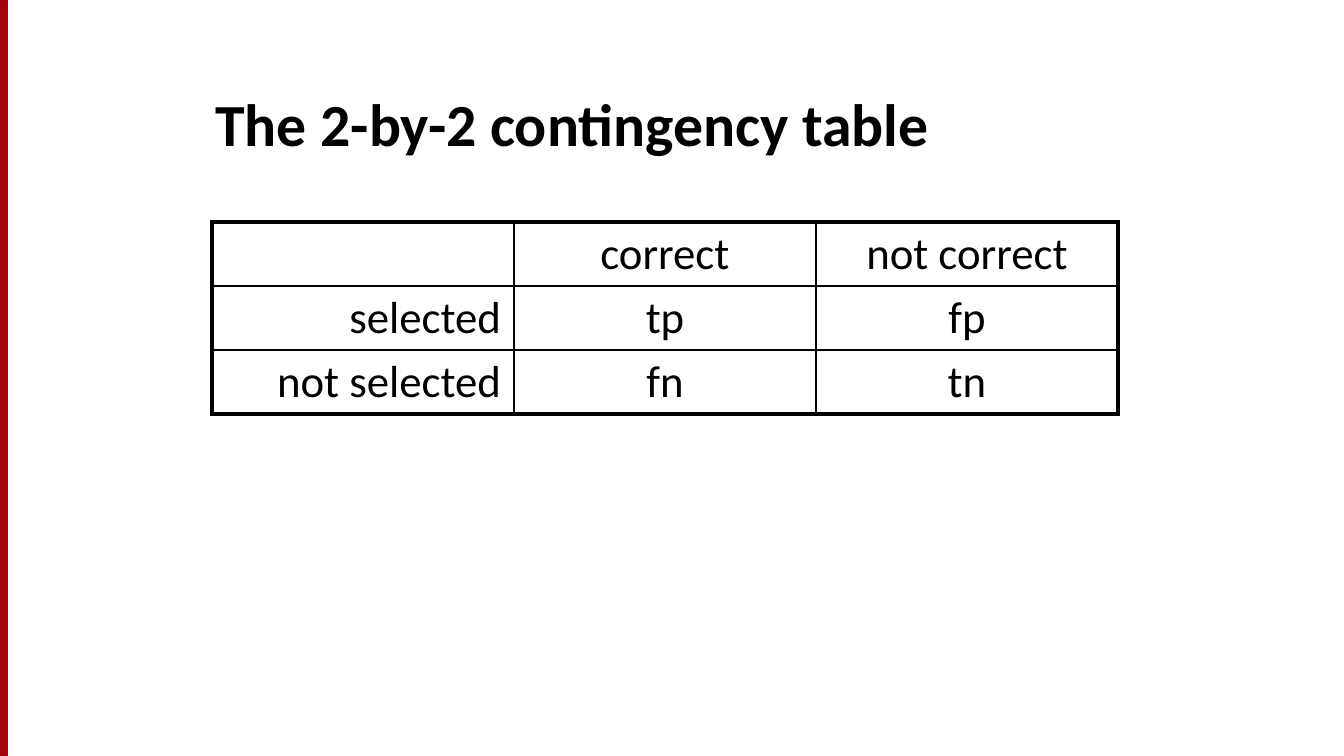
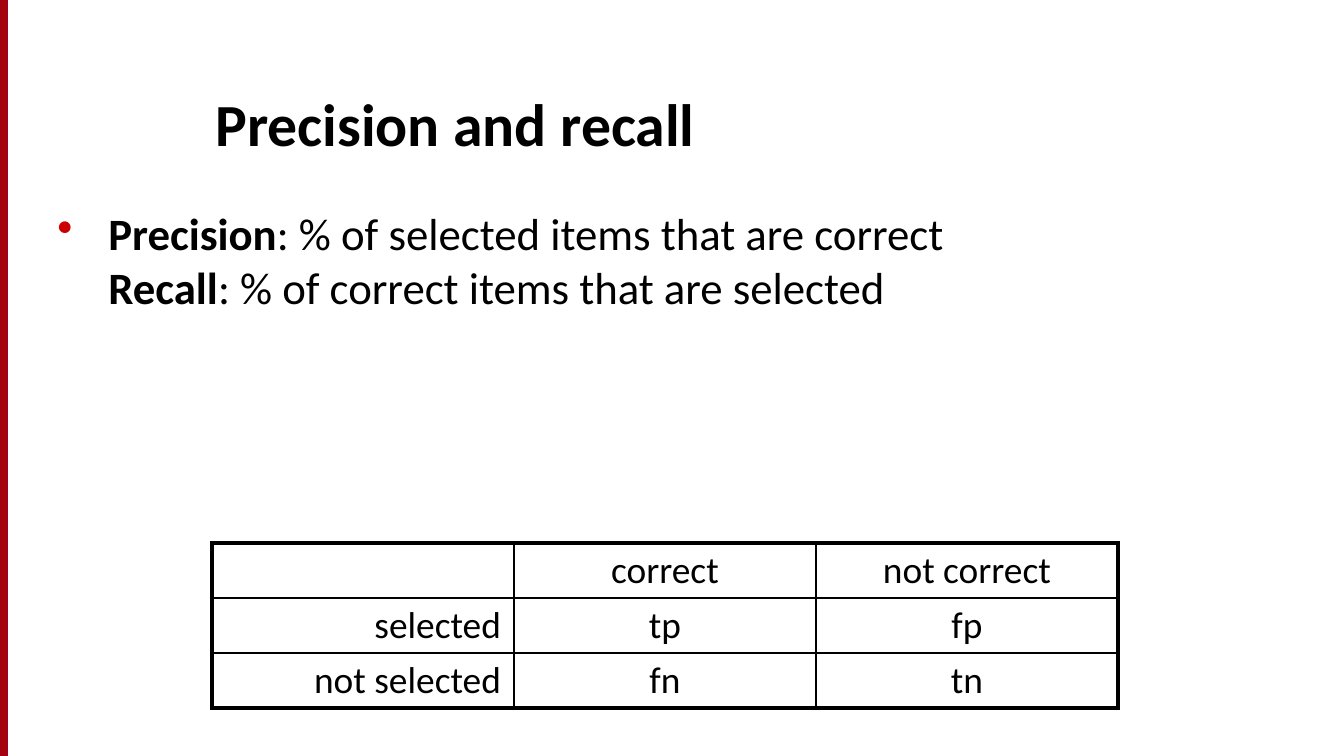
from pptx import Presentation
from pptx import util as u
from pptx.dml.color import RGBColor
from pptx.enum import shapes, text
from pptx.oxml.ns import qn
from lxml import etree

BLACK = RGBColor(0x00, 0x00, 0x00)
WHITE = RGBColor(0xFF, 0xFF, 0xFF)
BAR_RED = RGBColor(0xA4, 0x05, 0x08)
BAR_EDGE = RGBColor(0xA4, 0x00, 0x1D)
BULLET_RED = RGBColor(0xCC, 0x00, 0x00)
FONT = "Calibri"

WIDTH, HEIGHT = 1344, 756
PX = u.Inches(10) / WIDTH

CONTINGENCY = [
    ["", "correct", "not correct"],
    ["selected", "tp", "fp"],
    ["not selected", "fn", "tn"],
]
# Lines of one bullet: (term, definition)
DEFINITIONS = [
    ("Precision", ": % of selected items that are correct"),
    ("Recall", ": % of correct items that are selected"),
]
SLIDES = [
    {"title": "The 2-by-2 contingency table", "definitions": [],
     "table_top": 222, "row_height": 64, "table_size": 24},
    {"title": "Precision and recall", "definitions": DEFINITIONS,
     "table_top": 543, "row_height": 55, "table_size": 20},
]

TITLE_BOX = (202, 56, 1098, 109)
BODY_BOX = (44, 199, 1254, 491)
BULLET_INDENT = 51
TABLE_LEFT, COLUMN_WIDTH = 212, 302
CELL_MARGIN_X, CELL_MARGIN_Y = 13, 5
OUTER_LINE, INNER_LINE = 2.25, 1


def emu(*lengths):
    return [u.Emu(round(length * PX)) for length in lengths]


def add_run(paragraph, content, size, bold=False):
    run = paragraph.add_run()
    run.text = content
    run.font.name = FONT
    run.font.size = u.Pt(size)
    run.font.bold = bold
    run.font.color.rgb = BLACK


def add_text_frame(slide, box):
    frame = slide.shapes.add_textbox(*emu(*box)).text_frame
    frame.word_wrap = True
    return frame


def add_side_bar(slide):
    bar = slide.shapes.add_shape(shapes.MSO_SHAPE.RECTANGLE, *emu(0, 0, 7, HEIGHT))
    bar.shadow.inherit = False
    bar.fill.solid()
    bar.fill.fore_color.rgb = BAR_RED
    bar.line.color.rgb = BAR_EDGE
    bar.line.width = u.Pt(0.75)


def add_title(slide, title):
    frame = add_text_frame(slide, TITLE_BOX)
    frame.vertical_anchor = text.MSO_ANCHOR.BOTTOM
    add_run(frame.paragraphs[0], title, 32, bold=True)


def add_definitions(slide, definitions):
    paragraph = add_text_frame(slide, BODY_BOX).paragraphs[0]
    paragraph.space_before = u.Pt(5)
    properties = paragraph._p.get_or_add_pPr()
    indent, = emu(BULLET_INDENT)
    properties.set("marL", str(indent))
    properties.set("indent", str(-indent))
    color = etree.SubElement(properties, qn("a:buClr"))
    etree.SubElement(color, qn("a:srgbClr"), val=str(BULLET_RED))
    etree.SubElement(properties, qn("a:buChar"), char="•")
    for index, (term, definition) in enumerate(definitions):
        if index:
            paragraph.add_line_break()
        add_run(paragraph, term, 24, bold=True)
        add_run(paragraph, definition, 24)


def set_borders(cell, outer_sides):
    """Draw all four cell borders, heavier on the sides at the table's edge."""
    properties = cell._tc.get_or_add_tcPr()
    for side in "LRTB":
        weight = OUTER_LINE if side in outer_sides else INNER_LINE
        line = etree.SubElement(properties, qn("a:ln" + side), w=str(u.Pt(weight)))
        fill = etree.SubElement(line, qn("a:solidFill"))
        etree.SubElement(fill, qn("a:srgbClr"), val=str(BLACK))


def add_table(slide, rows, top, row_height, size):
    row_count, column_count = len(rows), len(rows[0])
    table = slide.shapes.add_table(
        row_count, column_count,
        *emu(TABLE_LEFT, top, column_count * COLUMN_WIDTH, row_count * row_height)).table
    table.first_row = table.horz_banding = False
    for r, row in enumerate(rows):
        for c, label in enumerate(row):
            cell = table.cell(r, c)
            edges = {"L": c == 0, "R": c == column_count - 1,
                     "T": r == 0, "B": r == row_count - 1}
            set_borders(cell, [side for side, is_outer in edges.items() if is_outer])
            cell.fill.background()
            cell.margin_left, cell.margin_top = emu(CELL_MARGIN_X, CELL_MARGIN_Y)
            cell.margin_right, cell.margin_bottom = cell.margin_left, cell.margin_top
            if label:
                paragraph = cell.text_frame.paragraphs[0]
                paragraph.alignment = text.PP_ALIGN.CENTER if c else text.PP_ALIGN.RIGHT
                add_run(paragraph, label, size)


def main():
    presentation = Presentation()
    presentation.slide_width, presentation.slide_height = emu(WIDTH, HEIGHT)
    for content in SLIDES:
        slide = presentation.slides.add_slide(presentation.slide_layouts[6])
        slide.background.fill.solid()
        slide.background.fill.fore_color.rgb = WHITE
        add_side_bar(slide)
        add_title(slide, content["title"])
        if content["definitions"]:
            add_definitions(slide, content["definitions"])
        add_table(slide, CONTINGENCY, content["table_top"],
                  content["row_height"], content["table_size"])
    presentation.save("out.pptx")


if __name__ == "__main__":
    main()
